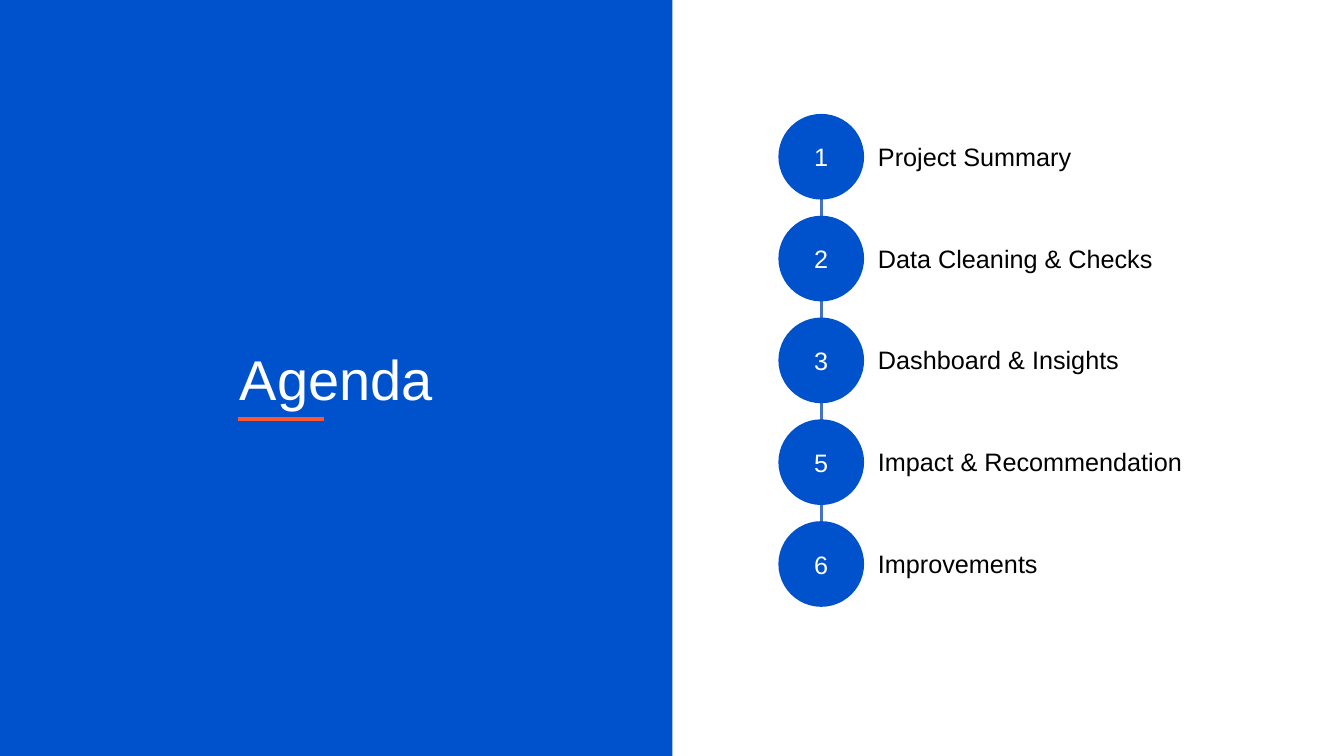
"""Build an agenda slide with a numbered chain of topics."""
import pptx
import pptx.util
import pptx.dml.color
import pptx.enum.shapes
import pptx.enum.text
import pptx.oxml

PX = 9144
HUES = {"blue": "0052CC", "link": "4472C4", "red": "FF5630", "white": "FFFFFF", "black": "000000"}
KIND = pptx.enum.shapes.MSO_SHAPE
ALIGN = pptx.enum.text.PP_ALIGN
MID = pptx.enum.text.MSO_ANCHOR.MIDDLE
TOPICS = {
    "1": "Project Summary",
    "2": "Data Cleaning & Checks",
    "3": "Dashboard & Insights",
    "5": "Impact & Recommendation",
    "6": "Improvements",
}
TOP, STEP, SIZE = 113, 101, 85

deck = pptx.Presentation()
deck.slide_width, deck.slide_height = 1333 * PX, 750 * PX
slide = deck.slides.add_slide(deck.slide_layouts[6])
shapes = slide.shapes


def color(name):
    return pptx.dml.color.RGBColor.from_string(HUES[name])


def write(shape, text, size, hue, align):
    frame = shape.text_frame
    frame.word_wrap = True
    frame.vertical_anchor = MID
    para = frame.paragraphs[0]
    para.text = text
    para.alignment = align
    style = {"name": "Arial", "size": pptx.util.Pt(size)}
    for key, value in style.items():
        setattr(para.font, key, value)
    para.font.color.rgb = color(hue)


solids = [(KIND.OVAL, 772, TOP + STEP * row, SIZE, SIZE, num, 18) for row, num in enumerate(TOPICS)]
solids.append((KIND.RECTANGLE, 0, 0, 667, 750, "Agenda", 40))
lines = [(815, TOP, 815, 560, "link", 2.25), (236, 416, 321, 416, "red", 3)]

rules = []
for left, top, right, end, hue, width in lines:
    rule = shapes.add_connector(
        pptx.enum.shapes.MSO_CONNECTOR.STRAIGHT, left * PX, top * PX, right * PX, end * PX)
    rule.line.color.rgb = color(hue)
    rule.line.width = pptx.util.Pt(width)
    rule._element.spPr.append(pptx.oxml.parse_xml(
        '<a:effectLst xmlns:a="http://schemas.openxmlformats.org/drawingml/2006/main"/>'))
    rules.append(rule)

for kind, left, top, width, height, text, size in solids:
    solid = shapes.add_shape(kind, left * PX, top * PX, width * PX, height * PX)
    solid.shadow.inherit = False
    solid.fill.solid()
    solid.fill.fore_color.rgb = color("blue")
    solid.line.fill.background()
    write(solid, text, size, "white", ALIGN.CENTER)

for row, topic in enumerate(TOPICS.values()):
    label = shapes.add_textbox(861 * PX, (135 + STEP * row) * PX, 417 * PX, 40 * PX)
    write(label, topic, 18, "black", ALIGN.LEFT)

shapes._spTree.append(rules[-1]._element)
deck.save("out.pptx")
